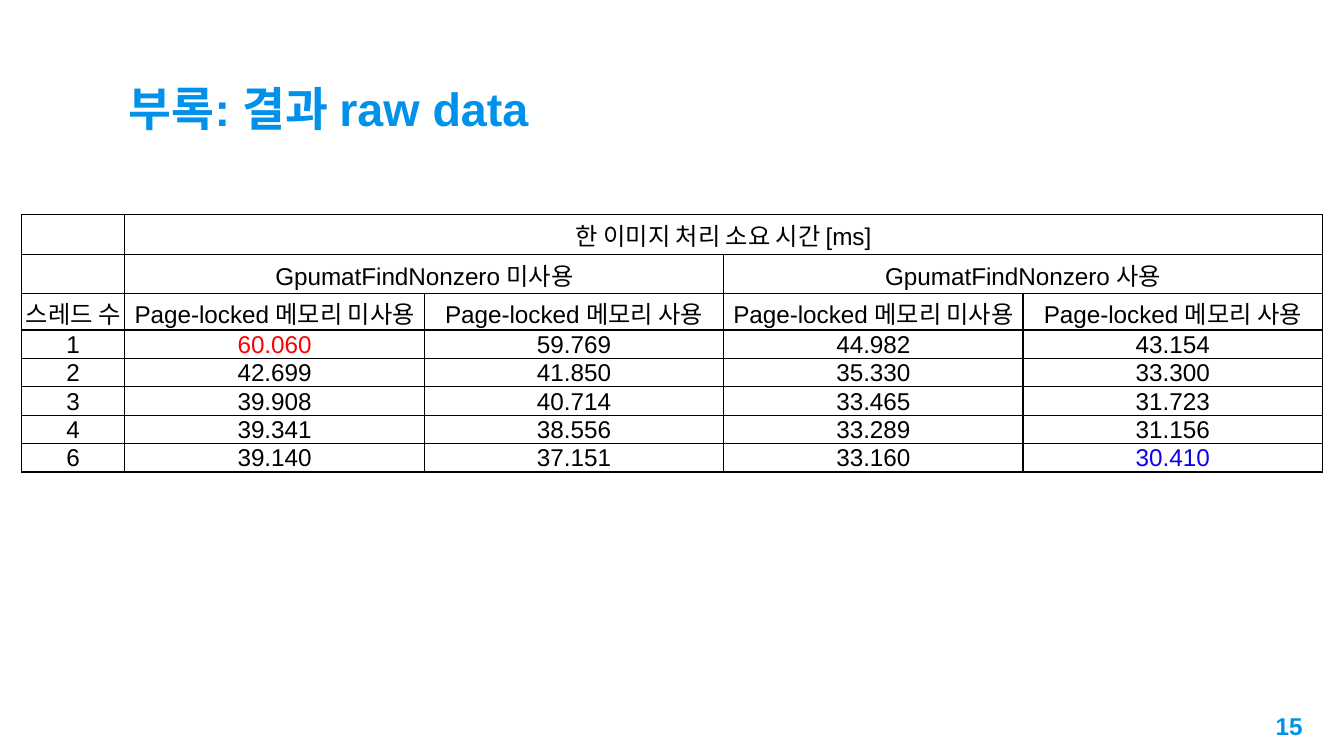
from dataclasses import dataclass

import lxml.etree
import pptx
import pptx.dml.color
import pptx.enum.text
import pptx.oxml.ns
import pptx.util

Pt = pptx.util.Pt
Align = pptx.enum.text.PP_ALIGN
Anchor = pptx.enum.text.MSO_ANCHOR
FONT = "Arial"
BLACK, BLUE = "000000", "0091EA"


@dataclass
class Label:
    text: str
    left: float
    top: float
    width: float
    height: float
    size: float
    align: Align
    anchor: Anchor


@dataclass
class Span:
    row: int
    first: int
    last: int


LABELS = [
    Label("부록: 결과 raw data", 61.9, 24.5, 596.2, 55.4, 25, Align.LEFT, Anchor.BOTTOM),
    Label("15", 661.7, 373.7, 43.2, 31, 13, Align.RIGHT, Anchor.TOP),
]
MODES = ["Page-locked 메모리 미사용", "Page-locked 메모리 사용"]
ROWS = [
    ["", "한 이미지 처리 소요 시간 [ms]", "", "", ""],
    ["", "GpumatFindNonzero 미사용", "", "GpumatFindNonzero 사용", ""],
    ["스레드 수", *MODES, *MODES],
    ["1", "60.060", "59.769", "44.982", "43.154"],
    ["2", "42.699", "41.850", "35.330", "33.300"],
    ["3", "39.908", "40.714", "33.465", "31.723"],
    ["4", "39.341", "38.556", "33.289", "31.156"],
    ["6", "39.140", "37.151", "33.160", "30.410"],
]
SPANS = [Span(0, 1, 4), Span(1, 1, 2), Span(1, 3, 4)]
MARKS = {"60.060": "FF0000", "30.410": "0D02E8"}
WIDTHS = [55.4] + [160.4] * 4
HEIGHTS = [21.2] * 2 + [14.4] * 6


def paint(color, code: str) -> None:
    color.rgb = pptx.dml.color.RGBColor.from_string(code)


def style(para, size: float, code: str, align: Align, bold: bool = False) -> None:
    para.alignment = align
    para.font.name = FONT
    para.font.size = Pt(size)
    para.font.bold = bold
    paint(para.font.color, code)


def write(slide, label: Label) -> None:
    box = slide.shapes.add_textbox(
        Pt(label.left), Pt(label.top), Pt(label.width), Pt(label.height)
    )
    frame = box.text_frame
    frame.word_wrap = True
    frame.vertical_anchor = label.anchor
    frame.margin_left = frame.margin_right = Pt(7.2)
    frame.margin_top = frame.margin_bottom = Pt(7.2)
    frame.text = label.text
    style(frame.paragraphs[0], label.size, BLUE, label.align, True)


def edge(cell) -> None:
    qn = pptx.oxml.ns.qn
    props = cell._tc.get_or_add_tcPr()
    for spot, side in enumerate(("lnL", "lnR", "lnT", "lnB")):
        line = lxml.etree.Element(qn(f"a:{side}"), w=str(Pt(0.75)))
        fill = lxml.etree.SubElement(line, qn("a:solidFill"))
        lxml.etree.SubElement(fill, qn("a:srgbClr"), val=BLACK)
        props.insert(spot, line)


def fill_cell(cell, text: str) -> None:
    cell.text = text
    cell.vertical_anchor = Anchor.MIDDLE
    cell.margin_left = cell.margin_right = cell.margin_top = Pt(0.7)
    cell.margin_bottom = Pt(0)
    cell.fill.background()
    style(cell.text_frame.paragraphs[0], 13, MARKS.get(text, BLACK), Align.CENTER)
    edge(cell)


def tabulate(slide) -> None:
    frame = slide.shapes.add_table(
        len(ROWS), len(WIDTHS), Pt(11.5), Pt(115), Pt(sum(WIDTHS)), Pt(sum(HEIGHTS))
    )
    table = frame.table
    table.first_row = table.horz_banding = False
    for column, width in zip(table.columns, WIDTHS):
        column.width = Pt(width)
    for row, height, texts in zip(table.rows, HEIGHTS, ROWS):
        row.height = Pt(height)
        for cell, text in zip(row.cells, texts):
            fill_cell(cell, text)
    for span in SPANS:
        table.cell(span.row, span.first).merge(table.cell(span.row, span.last))


def main() -> None:
    deck = pptx.Presentation()
    deck.slide_width, deck.slide_height = Pt(720), Pt(405)
    slide = deck.slides.add_slide(deck.slide_layouts[6])
    tabulate(slide)
    for label in LABELS:
        write(slide, label)
    deck.save("out.pptx")


if __name__ == "__main__":
    main()
